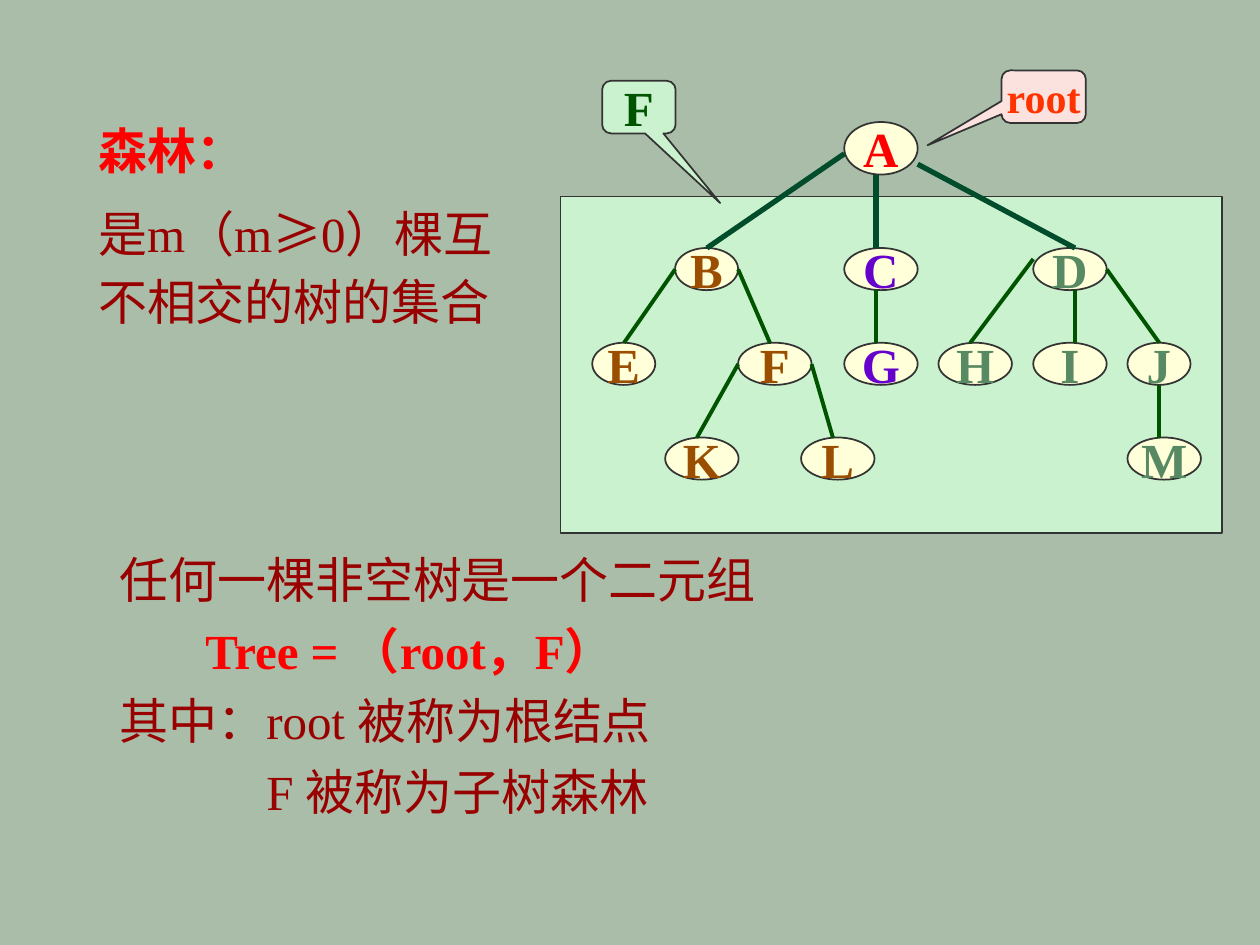
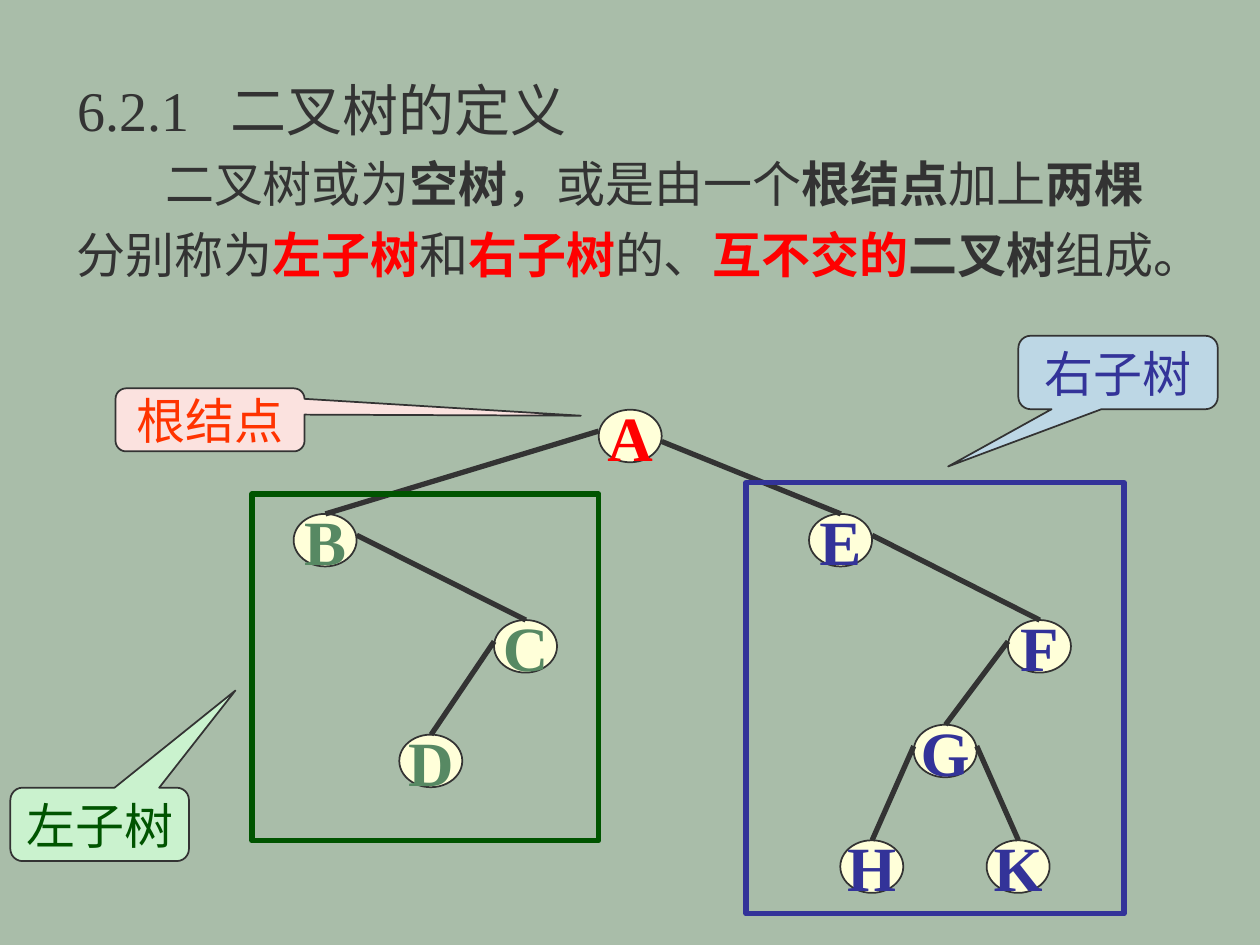
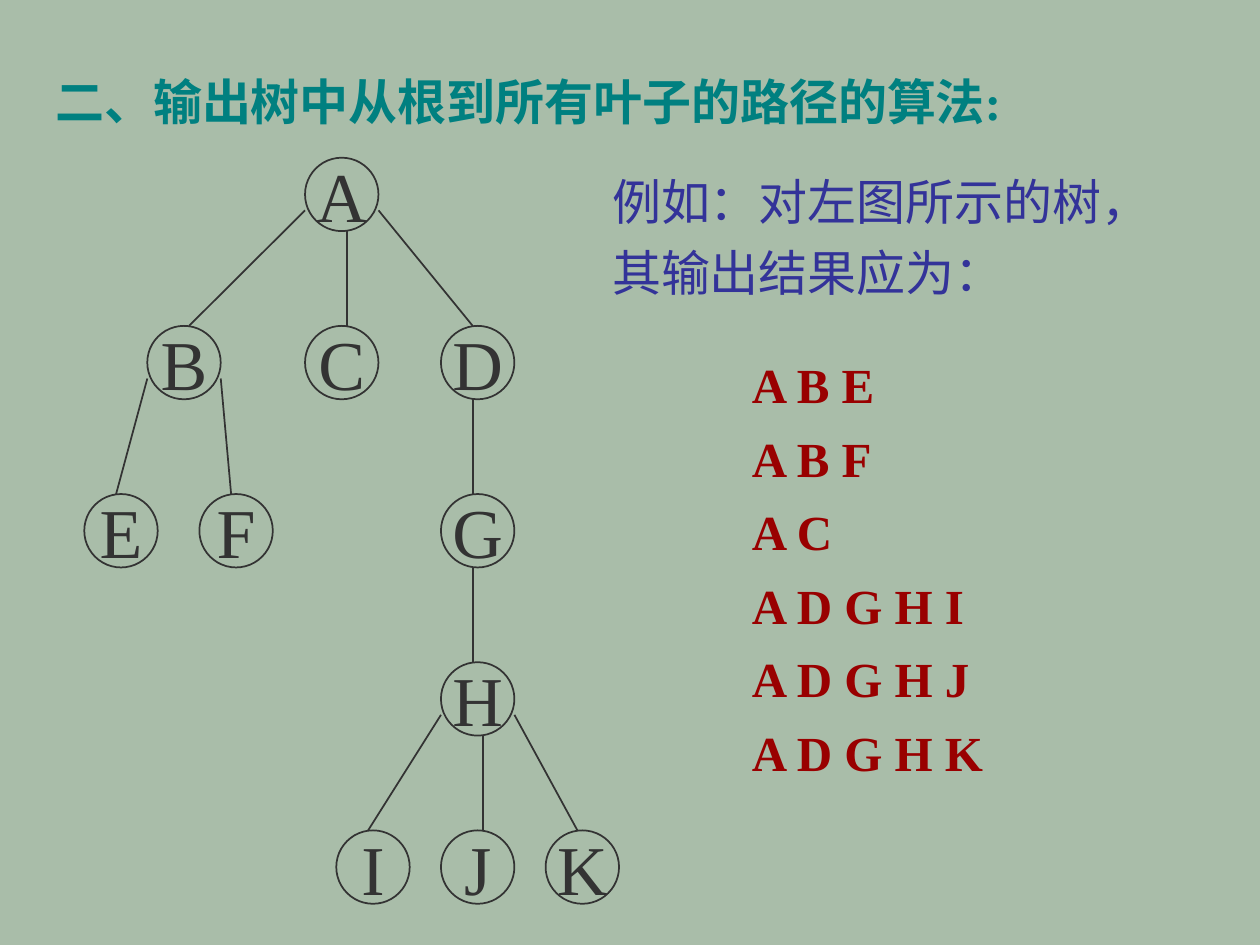
from lxml import etree
from pptx import Presentation
from pptx import util as u
from pptx.dml.color import RGBColor
from pptx.enum import shapes, text
from pptx.oxml.ns import qn

Cm = u.Cm
LATIN, CJK = "Times New Roman", "Noto Sans CJK SC"
COLORS = {
    "background": "A9BDA9", "ink": "333333", "cream": "FFFFD9",
    "red": "FF0000", "dark red": "990000", "orange": "FF3300",
    "brown": "9C4E00", "purple": "6600CC", "sage": "578963",
    "green": "005400", "deep green": "004C2B", "navy": "333399",
    "teal": "008080", "pink": "FBE2DF", "mint": "CAF2CE", "sky": "BDD7E5",
}
TEXT_SIZE = 28
PORT = 0.64        # usual distance of an edge's end from a node's left side
WIDE_PORT = 0.84


def rgb(name):
    return RGBColor.from_string(COLORS[name])


# Text
def add_run(p, content, size, color, bold=False, font=LATIN):
    r = p.add_run()
    r.text = content
    r.font.size = u.Pt(size)
    r.font.bold = bold
    r.font.name = font
    r.font.color.rgb = rgb(color)
    latin = r.font._element.find(qn("a:latin"))
    latin.addnext(latin.makeelement(qn("a:ea"), {"typeface": CJK}))


def write(tf, paragraphs, size=TEXT_SIZE, spacing=1.2):
    """Each paragraph is a list of runs: (text, color[, bold[, font]])."""
    tf.word_wrap = True
    tf.auto_size = text.MSO_AUTO_SIZE.NONE
    tf.vertical_anchor = text.MSO_ANCHOR.TOP
    for i, runs in enumerate(paragraphs):
        p = tf.add_paragraph() if i else tf.paragraphs[0]
        p.alignment = text.PP_ALIGN.LEFT
        p.line_spacing = u.Pt(size * 1.2 * spacing)
        for content, *style in runs:
            add_run(p, content, size, *style)
    return tf.paragraphs


def indent(p, left=0, first=0):
    pPr = p._p.get_or_add_pPr()
    pPr.set("marL", str(Cm(left)))
    pPr.set("indent", str(Cm(first)))


def add_tab_stop(p, position):
    tabs = etree.SubElement(p._p.get_or_add_pPr(), qn("a:tabLst"))
    etree.SubElement(tabs, qn("a:tab"), pos=str(Cm(position)), algn="l")


def add_text(slide, box, paragraphs, **style):
    sp = slide.shapes.add_textbox(*map(Cm, box))
    return write(sp.text_frame, paragraphs, **style)


def add_title_slide(prs, box, runs, **style):
    slide = prs.slides.add_slide(prs.slide_layouts[5])
    title = slide.shapes.title
    title.left, title.top, title.width, title.height = map(Cm, box)
    return slide, write(title.text_frame, [runs], **style)[0]


# Shapes
def add_shape(slide, kind, box, fill=None, line="ink", width=1):
    sp = slide.shapes.add_shape(kind, *map(Cm, box))
    sp.shadow.inherit = False
    if fill:
        sp.fill.solid()
        sp.fill.fore_color.rgb = rgb(fill)
    else:
        sp.fill.background()
    sp.line.color.rgb = rgb(line)
    sp.line.width = u.Pt(width)
    return sp


def add_label(sp, content, size, color, bold=False):
    tf = sp.text_frame
    tf.word_wrap = False
    tf.vertical_anchor = text.MSO_ANCHOR.MIDDLE
    p = tf.paragraphs[0]
    p.alignment = text.PP_ALIGN.CENTER
    add_run(p, content, size, color, bold)


def add_frame(slide, box, **style):
    add_shape(slide, shapes.MSO_SHAPE.RECTANGLE, box, **style)


def add_callout(slide, box, tip, content, color, fill, size=TEXT_SIZE, bold=False):
    sp = add_shape(slide, shapes.MSO_SHAPE.ROUNDED_RECTANGULAR_CALLOUT, box, fill)
    sp.adjustments[0], sp.adjustments[1] = tip
    add_label(sp, content, size, color, bold)


# Trees
def place_rows(rows, first, step, width, height):
    """Node boxes for rows of {name: left}, at equal vertical steps."""
    return {name: (left, first + i * step, width, height)
            for i, row in enumerate(rows) for name, left in row.items()}


def add_nodes(slide, nodes, palette, size, fill=None, bold=False):
    for color, names in palette.items():
        for name in names:
            sp = add_shape(slide, shapes.MSO_SHAPE.OVAL, nodes[name], fill)
            add_label(sp, name, size, color, bold)


def add_edges(slide, nodes, edges, color, width, drop=0.43):
    """Each edge is (parent, side, child[, port[, drop]])."""
    for parent, side, child, *exact in edges:
        port, fall = (exact + [PORT, drop][len(exact):])
        left, top, w, h = nodes[parent]
        end_x, end_y = nodes[child][0] + port, nodes[child][1]
        start = {"left": (left, top + fall),
                 "right": (left + w, top + fall),
                 "down": (end_x, top + h)}[side]
        line = slide.shapes.add_connector(
            shapes.MSO_CONNECTOR.STRAIGHT, *map(Cm, (*start, end_x, end_y)))
        line.line.color.rgb = rgb(color)
        line.line.width = u.Pt(width)
        etree.SubElement(line._element.spPr, qn("a:effectLst"))


# Slides
def forest_slide(prs):
    slide, _ = add_title_slide(prs, (1.73, 2.06, 4, 1.68),
                               [("森林：", "red", True)])
    add_text(slide, (1.73, 3.81, 12.07, 2.97), [
        [("是m（m", "dark red"), ("≥", "dark red", False, CJK),
         ("0）棵互", "dark red")],
        [("不相交的树的集合", "dark red")]], spacing=1.15)
    lines = add_text(slide, (2.16, 10.72, 14, 5.94), [
        [("任何一棵非空树是一个二元组", "dark red")],
        [("Tree = （root，F）", "red", True)],
        [("其中：root 被称为根结点", "dark red")],
        [("F 被称为子树森林", "dark red")]])
    indent(lines[1], 1.73)
    indent(lines[3], 2.96)

    add_frame(slide, (11.3, 3.96, 13.34, 6.78), fill="mint")
    nodes = place_rows([
        {"B": 13.61, "C": 17.02, "D": 20.83},
        {"E": 11.94, "F": 14.88, "G": 17.02, "H": 18.92, "I": 20.83, "J": 22.73},
        {"K": 13.41, "L": 16.15, "M": 22.73}], 5, 1.91, 1.48, 0.85)
    for name in "BEJ":
        left, top, _, height = nodes[name]
        nodes[name] = left, top, 1.27, height
    nodes["A"] = 17.02, 2.46, 1.48, 1.06
    add_nodes(slide, nodes, {"red": "A", "brown": "BEFKL", "purple": "CG",
                             "sage": "DHIJM"}, TEXT_SIZE, "cream", True)
    add_edges(slide, nodes, [
        ("B", "left", "E"), ("B", "right", "F"), ("F", "left", "K"),
        ("F", "right", "L"), ("C", "down", "G"), ("D", "left", "H", PORT, 0.22),
        ("D", "down", "I", WIDE_PORT), ("D", "right", "J"), ("J", "down", "M"),
    ], "green", 2.25)
    add_edges(slide, nodes, [
        ("A", "left", "B", PORT, 0.64), ("A", "down", "C"),
        ("A", "right", "D", WIDE_PORT, 0.85)], "deep green", 3)
    add_callout(slide, (20.19, 1.42, 1.7, 1.06), (-1.378, 0.925), "root",
                "orange", "pink", size=24, bold=True)
    add_callout(slide, (12.14, 1.63, 1.48, 1.06), (1.107, 1.825), "F",
                "green", "mint", bold=True)


def binary_tree_slide(prs):
    slide, heading = add_title_slide(prs, (1.3, 1.12, 22.6, 1.7),
                                     [("6.2.1\t二叉树的定义", "ink")], size=32)
    add_tab_stop(heading, 3.1)
    definition = add_text(slide, (1.3, 2.74, 22.6, 3.1), [[
        ("二叉树或为", "ink"), ("空树", "ink", True),
        ("，或是由一个", "ink"), ("根结点", "ink", True),
        ("加上", "ink"), ("两棵", "ink", True), ("分别称为", "ink"),
        ("左子树", "red", True), ("和", "ink"), ("右子树", "red", True),
        ("的、", "ink"), ("互不交的", "red", True),
        ("二叉树", "ink", True), ("组成。", "ink")]])
    indent(definition[0], first=1.78)

    corners = {"A": (12.07, 8.26), "B": (5.92, 10.36), "C": (9.96, 12.5),
               "D": (8.05, 14.81), "E": (16.31, 10.36), "F": (20.32, 12.5),
               "G": (18.42, 14.61), "H": (16.94, 16.94), "K": (19.89, 16.94)}
    nodes = {name: (*corner, 1.27, 1.06) for name, corner in corners.items()}
    add_nodes(slide, nodes, {"red": "A", "sage": "BCD", "navy": "EFGHK"},
              36, "cream", True)
    add_edges(slide, nodes, [
        ("A", "left", "B"), ("B", "right", "C"), ("C", "left", "D"),
        ("A", "right", "E", PORT, 0.64), ("E", "right", "F"),
        ("F", "left", "G"), ("G", "left", "H"), ("G", "right", "K"),
    ], "ink", 3)
    add_frame(slide, (5.08, 9.96, 6.99, 6.99), line="green", width=3)
    add_frame(slide, (15.04, 9.73, 7.62, 8.69), line="navy", width=3)
    add_callout(slide, (2.33, 7.83, 3.81, 1.27), (1.962, -0.066),
                "根结点", "orange", "pink")
    add_callout(slide, (0.21, 15.88, 3.6, 1.48), (0.76, -1.824),
                "左子树", "green", "mint")
    add_callout(slide, (20.53, 6.77, 4.02, 1.48), (-0.852, 1.28),
                "右子树", "navy", "sky")


def leaf_paths_slide(prs):
    slide, _ = add_title_slide(
        prs, (0.86, 1.32, 21, 1.45),
        [("二、输出树中从根到所有叶子的路径的算法:", "teal", True)], spacing=1)
    nodes = place_rows([
        {"A": 6.15}, {"B": 2.97, "C": 6.15, "D": 8.89},
        {"E": 1.7, "F": 4.02, "G": 8.89}, {"H": 8.89},
        {"I": 6.78, "J": 8.89, "K": 11}], 3.18, 3.39, 1.48, 1.48)
    add_nodes(slide, nodes, {"ink": "ABCDEFGHIJK"}, 40)
    add_edges(slide, nodes, [
        ("A", "down", "C", WIDE_PORT), ("A", "left", "B", WIDE_PORT),
        ("A", "right", "D"), ("B", "left", "E"), ("B", "right", "F"),
        ("D", "down", "G"), ("G", "down", "H"), ("H", "down", "J", WIDE_PORT),
        ("H", "left", "I"), ("H", "right", "K")], "ink", 1, drop=1.06)

    add_text(slide, (12.09, 3.1, 12.01, 3.1), [
        [("例如：对左图所示的树，其输出结果应为：", "navy", False, CJK)]])
    paths = ["ABE", "ABF", "AC", "ADGHI", "ADGHJ", "ADGHK"]
    add_text(slide, (14.91, 6.73, 6, 9.14),
             [[(" ".join(path), "dark red", True)] for path in paths],
             spacing=1.25)


def main():
    prs = Presentation()
    prs.slide_width, prs.slide_height = Cm(25.4), Cm(19.05)
    background = prs.slide_master.background.fill
    background.solid()
    background.fore_color.rgb = rgb("background")
    forest_slide(prs)
    binary_tree_slide(prs)
    leaf_paths_slide(prs)
    prs.save("out.pptx")


if __name__ == "__main__":
    main()
